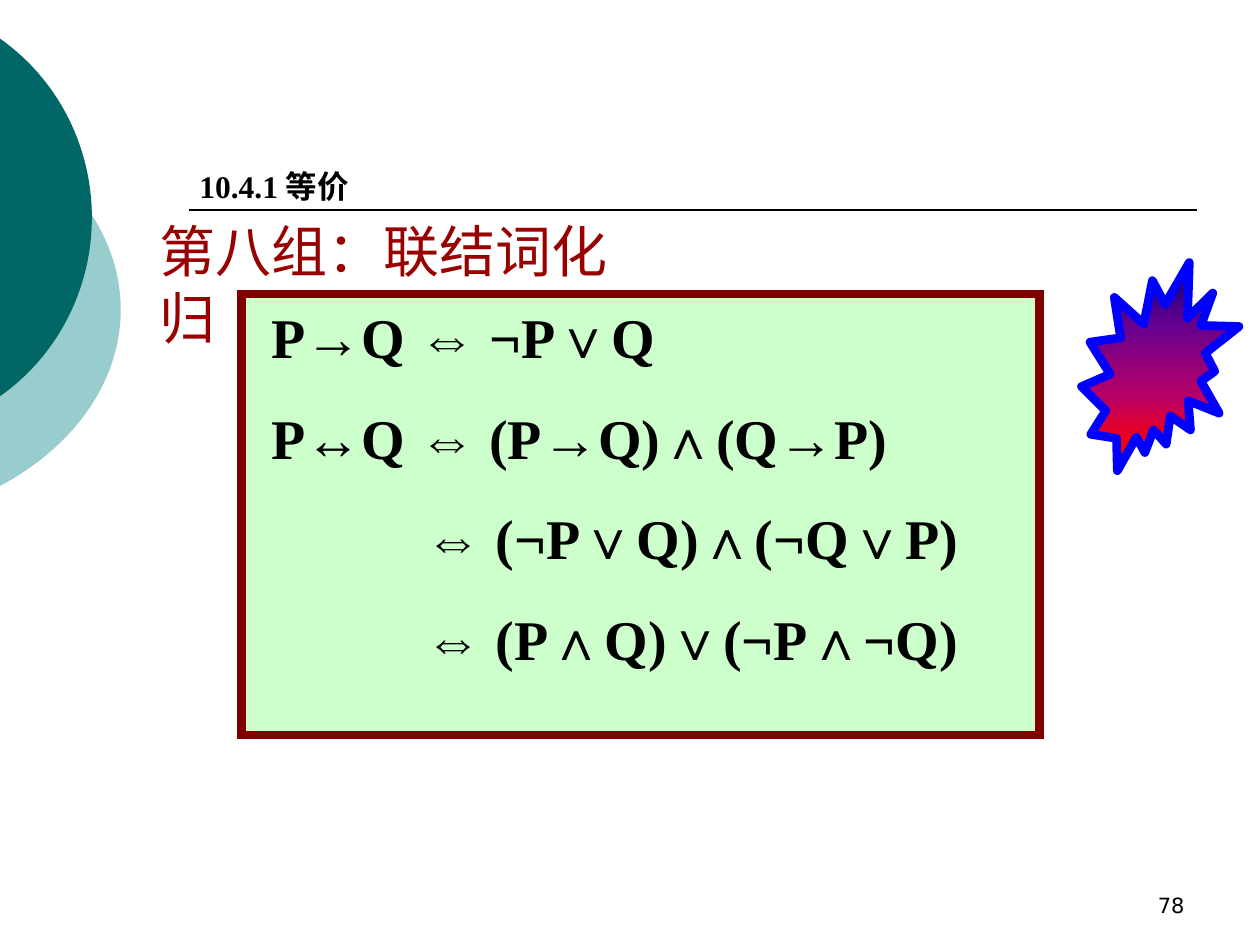
from dataclasses import dataclass

from lxml import etree
from pptx import Presentation
from pptx.dml.color import RGBColor
from pptx.enum.shapes import MSO_CONNECTOR as Connector, MSO_SHAPE as Shape
from pptx.enum.text import MSO_ANCHOR as Anchor, PP_ALIGN as Align
from pptx.oxml.ns import qn
from pptx.util import Pt

BLACK = RGBColor(0x00, 0x00, 0x00)
TEAL = RGBColor(0x00, 0x66, 0x66)
PALE_TEAL = RGBColor(0x99, 0xCC, 0xCC)
MINT = RGBColor(0xCC, 0xFF, 0xCC)
MAROON = RGBColor(0x80, 0x00, 0x00)
DARK_RED = RGBColor(0x99, 0x00, 0x00)
BLUE = RGBColor(0x00, 0x00, 0xFF)
BURST_STOPS = [
    (0, RGBColor(0x00, 0x00, 0x82)),
    (30, RGBColor(0x66, 0x00, 0x8F)),
    (65, RGBColor(0xBA, 0x00, 0x66)),
    (90, RGBColor(0xFF, 0x00, 0x00)),
    (100, RGBColor(0xFF, 0x82, 0x00)),
]
SERIF, SANS, CJK = "Times New Roman", "DejaVu Sans", "Noto Sans CJK SC"


@dataclass
class Box:
    left: float
    top: float
    width: float
    height: float

    def lengths(self) -> list:
        return [Pt(v) for v in (self.left, self.top, self.width, self.height)]


@dataclass
class Disc:
    box: Box
    color: RGBColor


@dataclass
class Style:
    size: float
    font: str
    color: RGBColor
    bold: bool = False


@dataclass
class Formula:
    text: str
    indent: float = 0


DISCS = [
    Disc(Box(-255, 54, 324, 246), PALE_TEAL),
    Disc(Box(-191, 0, 243.5, 248.5), TEAL),
]
FORMULAS = [
    Formula("P→Q ⇔ ¬P∨Q"),
    Formula("P↔Q ⇔ (P→Q)∧(Q→P)"),
    Formula("⇔ (¬P∨Q)∧(¬Q∨P)", 88.3),
    Formula("⇔ (P∧Q)∨(¬P∧¬Q)", 88.3),
]


def draw_disc(slide, disc: Disc) -> None:
    oval = slide.shapes.add_shape(Shape.OVAL, *disc.box.lengths())
    oval.shadow.inherit = False
    oval.fill.solid()
    oval.fill.fore_color.rgb = disc.color
    oval.line.fill.background()


def draw_outlined(slide, kind: Shape, box: Box, color: RGBColor, join: str):
    outlined = slide.shapes.add_shape(kind, *box.lengths())
    outlined.shadow.inherit = False
    outlined.line.color.rgb = color
    outlined.line.width = Pt(5)
    etree.SubElement(outlined.line._get_or_add_ln(), qn(join))
    return outlined


def add_text(slide, box: Box, lines: list[str], style: Style):
    frame = slide.shapes.add_textbox(*box.lengths()).text_frame
    frame.word_wrap = True
    frame.text = "\n".join(lines)
    for paragraph in frame.paragraphs:
        for run in paragraph.runs:
            format_run(run, style)
    return frame


def format_run(run, style: Style) -> None:
    run.font.size = Pt(style.size)
    run.font.name = style.font
    run.font.bold = style.bold
    run.font.color.rgb = style.color


def set_east_asian(run, font: str) -> None:
    latin = run.font._element.find(qn("a:latin"))
    latin.addnext(etree.Element(qn("a:ea"), typeface=font))


def set_gradient(fill, stops: list) -> None:
    fill.gradient()
    fill.gradient_angle = 270
    stop_list = fill._xPr.find(qn("a:gradFill")).find(qn("a:gsLst"))
    for old in list(stop_list):
        stop_list.remove(old)
    for percent, color in stops:
        stop = etree.SubElement(stop_list, qn("a:gs"), pos=str(percent * 1000))
        etree.SubElement(stop, qn("a:srgbClr"), val=str(color))


def main() -> None:
    prs = Presentation()
    prs.slide_width, prs.slide_height = Pt(720), Pt(540)
    slide = prs.slides.add_slide(prs.slide_layouts[6])

    # Discs at the left edge and the rule under the section heading
    for disc in DISCS:
        draw_disc(slide, disc)
    rule = slide.shapes.add_connector(Connector.STRAIGHT, Pt(108), Pt(120), Pt(684), Pt(120))
    rule.line.color.rgb = BLACK
    rule.line.width = Pt(1)
    etree.SubElement(rule._element.spPr, qn("a:effectLst"))

    # Formula panel
    panel = draw_outlined(slide, Shape.RECTANGLE, Box(138, 168, 456, 252), MAROON, "a:miter")
    panel.fill.solid()
    panel.fill.fore_color.rgb = MINT

    # Group title
    title = add_text(slide, Box(84, 120, 302, 45), ["第八组：联结词化归"],
                     Style(32, SANS, DARK_RED))
    set_east_asian(title.paragraphs[0].runs[0], SANS)

    # Equivalences
    equivalences = add_text(slide, Box(148, 150, 417, 238), [f.text for f in FORMULAS],
                            Style(32, SERIF, BLACK, True))
    for paragraph, formula in zip(equivalences.paragraphs, FORMULAS):
        paragraph.line_spacing = 1.5
        paragraph._p.get_or_add_pPr().set("marL", str(Pt(formula.indent)))

    # Section heading
    heading = add_text(slide, Box(106.8, 91.8, 259, 29.5), ["10.4.1 "],
                       Style(18, SERIF, BLACK, True))
    topic = heading.paragraphs[0].add_run()
    topic.text = "等价"
    format_run(topic, Style(18, CJK, BLACK, True))
    set_east_asian(topic, CJK)

    # Page number
    page = add_text(slide, Box(516, 492, 168, 36), ["78"], Style(12, SANS, BLACK))
    page.vertical_anchor = Anchor.BOTTOM
    page.paragraphs[0].alignment = Align.RIGHT

    # Burst
    burst = draw_outlined(slide, Shape.EXPLOSION2, Box(618, 150, 90, 119), BLUE, "a:round")
    set_gradient(burst.fill, BURST_STOPS)

    prs.save("out.pptx")


if __name__ == "__main__":
    main()
